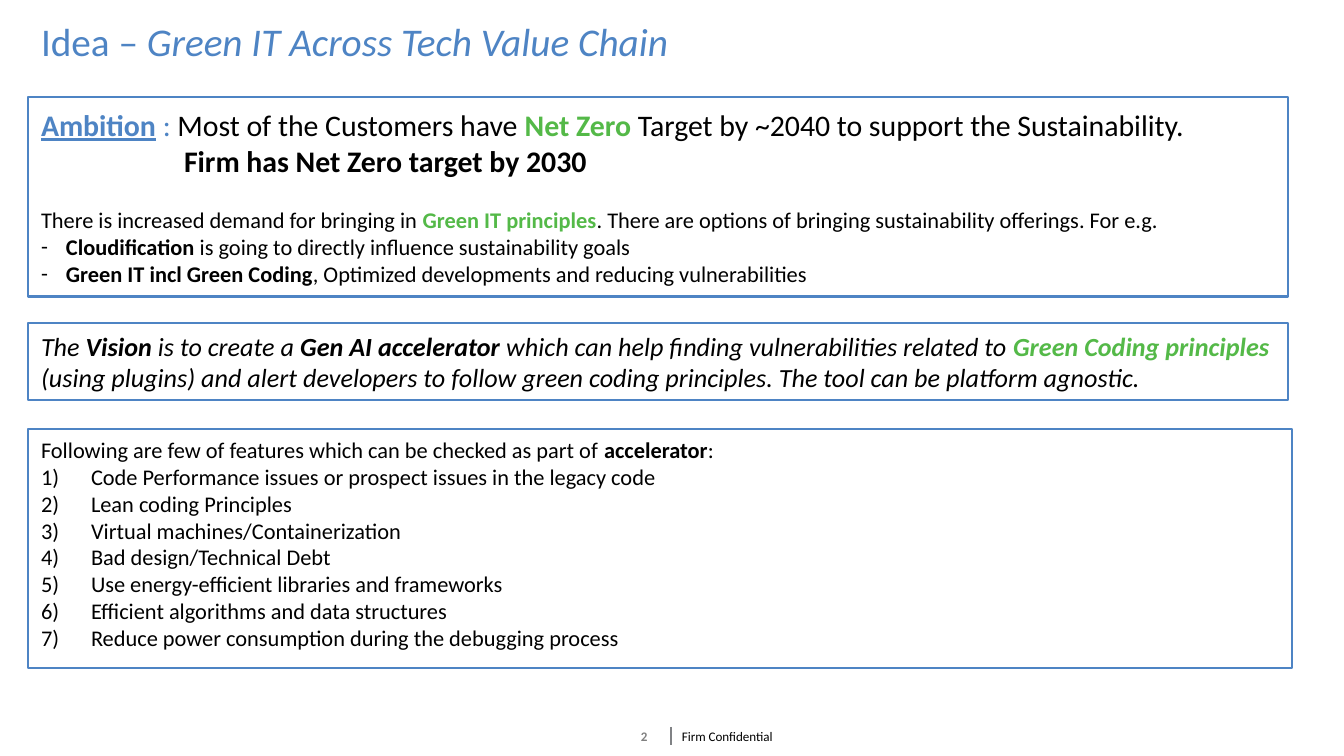
from dataclasses import dataclass

from lxml import etree
from pptx import Presentation
from pptx.dml.color import RGBColor
from pptx.enum.shapes import MSO_CONNECTOR, MSO_SHAPE
from pptx.enum.text import MSO_ANCHOR, MSO_AUTO_SIZE, PP_ALIGN
from pptx.oxml.ns import qn
from pptx.util import Pt

EMU_PER_PX = 914400 / 134.4
FONT = "Calibri"
BLUE = RGBColor(0x4E, 0x84, 0xC4)
GREEN = RGBColor(0x54, 0xB9, 0x48)
BLACK = RGBColor(0, 0, 0)
WHITE = RGBColor(0xFF, 0xFF, 0xFF)
GRAY = RGBColor(0x80, 0x80, 0x80)
RULE_GRAY = RGBColor(0x80, 0x82, 0x85)
RECT = MSO_SHAPE.RECTANGLE
STRAIGHT = MSO_CONNECTOR.STRAIGHT
TOP, MIDDLE = MSO_ANCHOR.TOP, MSO_ANCHOR.MIDDLE
NO_AUTOFIT = MSO_AUTO_SIZE.NONE
LEFT = PP_ALIGN.LEFT


@dataclass
class Box:
    x: int
    y: int
    w: int
    h: int


@dataclass
class Run:
    text: str
    color: RGBColor = BLACK
    bold: bool = False
    italic: bool = False
    underline: bool = False


@dataclass
class Para:
    runs: list[Run]
    size: int = 12
    bullet: str = ""
    number: str = ""
    margin: int = 0
    hanging: int = 0
    before: int = 0
    spacing: float = 1.0


def px(n: int) -> int:
    return round(n * EMU_PER_PX)


def place(sp, box: Box) -> None:
    sp.left, sp.top, sp.width, sp.height = map(px, (box.x, box.y, box.w, box.h))


def write(sp, paras: list[Para], *, anchor=TOP, inset_x: int = 13, inset_y: int = 7) -> None:
    tf = sp.text_frame
    tf.word_wrap = True
    tf.auto_size = NO_AUTOFIT
    tf.vertical_anchor = anchor
    tf.margin_left = tf.margin_right = px(inset_x)
    tf.margin_top = tf.margin_bottom = px(inset_y)
    for i, para in enumerate(paras):
        p = tf.paragraphs[0] if i == 0 else tf.add_paragraph()
        pPr = p._p.get_or_add_pPr()
        pPr.set("marL", str(px(para.margin)))
        pPr.set("indent", str(-px(para.hanging)))
        if para.bullet or para.number:
            etree.SubElement(pPr, qn("a:buFont"), typeface=FONT)
        if para.bullet:
            etree.SubElement(pPr, qn("a:buChar"), char=para.bullet)
        elif para.number:
            etree.SubElement(pPr, qn("a:buAutoNum"), type=para.number)
        else:
            etree.SubElement(pPr, qn("a:buNone"))
        p.alignment = LEFT
        p.line_spacing = para.spacing
        p.space_before = Pt(para.before)
        p.space_after = Pt(0)
        for run in para.runs:
            r = p.add_run()
            r.text = run.text
            r.font.name = FONT
            r.font.size = Pt(para.size)
            r.font.color.rgb = run.color
            r.font.bold = run.bold
            r.font.italic = run.italic
            r.font.underline = run.underline


def frame(sp) -> None:
    sp.fill.solid()
    sp.fill.fore_color.rgb = WHITE
    sp.line.color.rgb = BLUE
    sp.line.width = Pt(1.5)


def add_panel(s, box: Box, paras: list[Para], anchor=TOP) -> None:
    sp = s.shapes.add_shape(RECT, 0, 0, 0, 0)
    place(sp, box)
    sp.shadow.inherit = False
    frame(sp)
    write(sp, paras, anchor=anchor)


def add_footer(s, box: Box, run: Run) -> None:
    sp = s.shapes.add_textbox(0, 0, 0, 0)
    place(sp, box)
    write(sp, [Para([run], size=7)], anchor=MIDDLE, inset_x=9, inset_y=5)


def add_rule(s, x: int, y1: int, y2: int) -> None:
    line = s.shapes.add_connector(STRAIGHT, px(x), px(y1), px(x), px(y2))
    line.line.color.rgb = RULE_GRAY
    line.line.width = Pt(1)
    etree.SubElement(line._element.spPr, qn("a:effectLst"))


TITLE = [Para([Run("Idea – ", BLUE), Run("Green IT Across Tech Value Chain", BLUE, italic=True)],
              size=21, spacing=0.9)]

AMBITION = [
    Para([Run("Ambition", BLUE, bold=True, underline=True), Run(" : ", BLUE),
          Run("Most of the Customers have "), Run("Net Zero ", GREEN, bold=True),
          Run("Target by ~2040 to support the Sustainability.")], size=16),
    Para([Run("Firm has Net Zero target by 2030", bold=True)], size=16, margin=143),
    Para([Run("There is increased demand for bringing in "),
          Run("Green IT principles", GREEN, bold=True),
          Run(". There are options of bringing sustainability offerings. For e.g.")], before=15),
    Para([Run("Cloudification ", bold=True),
          Run("is going to directly influence sustainability goals")],
         bullet="-", margin=25, hanging=25),
    Para([Run("Green IT incl Green Coding", bold=True),
          Run(", Optimized developments and reducing vulnerabilities")],
         bullet="-", margin=25, hanging=25),
]

VISION = [Para([
    Run("The ", italic=True),
    Run("Vision", bold=True, italic=True),
    Run(" is to create a ", italic=True),
    Run("Gen AI accelerator ", bold=True, italic=True),
    Run("which can help finding vulnerabilities related to ", italic=True),
    Run("Green Coding principles", GREEN, bold=True, italic=True),
    Run(" (using plugins) and alert developers to follow green coding principles. "
        "The tool can be platform agnostic.", italic=True),
], size=14)]

FEATURES = [
    "Code Performance issues or prospect issues in the legacy code",
    "Lean coding Principles",
    "Virtual machines/Containerization",
    "Bad design/Technical Debt",
    "Use energy-efficient libraries and frameworks",
    "Efficient algorithms and data structures",
    "Reduce power consumption during the debugging process",
]
FEATURE_LIST = [
    Para([Run("Following are few of features which can be checked as part of "),
          Run("accelerator", bold=True), Run(":")]),
    *(Para([Run(text)], number="arabicParenR", margin=50, hanging=50) for text in FEATURES),
]


def main() -> None:
    prs = Presentation()
    prs.slide_width, prs.slide_height = px(1344), px(756)
    s = prs.slides.add_slide(prs.slide_layouts[1])

    title, body = s.placeholders
    place(title, Box(28, 16, 1159, 81))
    write(title, TITLE)
    add_panel(s, Box(28, 97, 1260, 200), AMBITION, anchor=MIDDLE)
    add_panel(s, Box(28, 323, 1260, 77), VISION)
    place(body, Box(28, 429, 1264, 239))
    frame(body)
    write(body, FEATURE_LIST)

    add_rule(s, 671, 727, 745)
    add_footer(s, Box(632, 727, 44, 19), Run("2", GRAY, bold=True))
    add_footer(s, Box(673, 727, 276, 19), Run("Firm Confidential"))
    prs.save("out.pptx")


if __name__ == "__main__":
    main()
